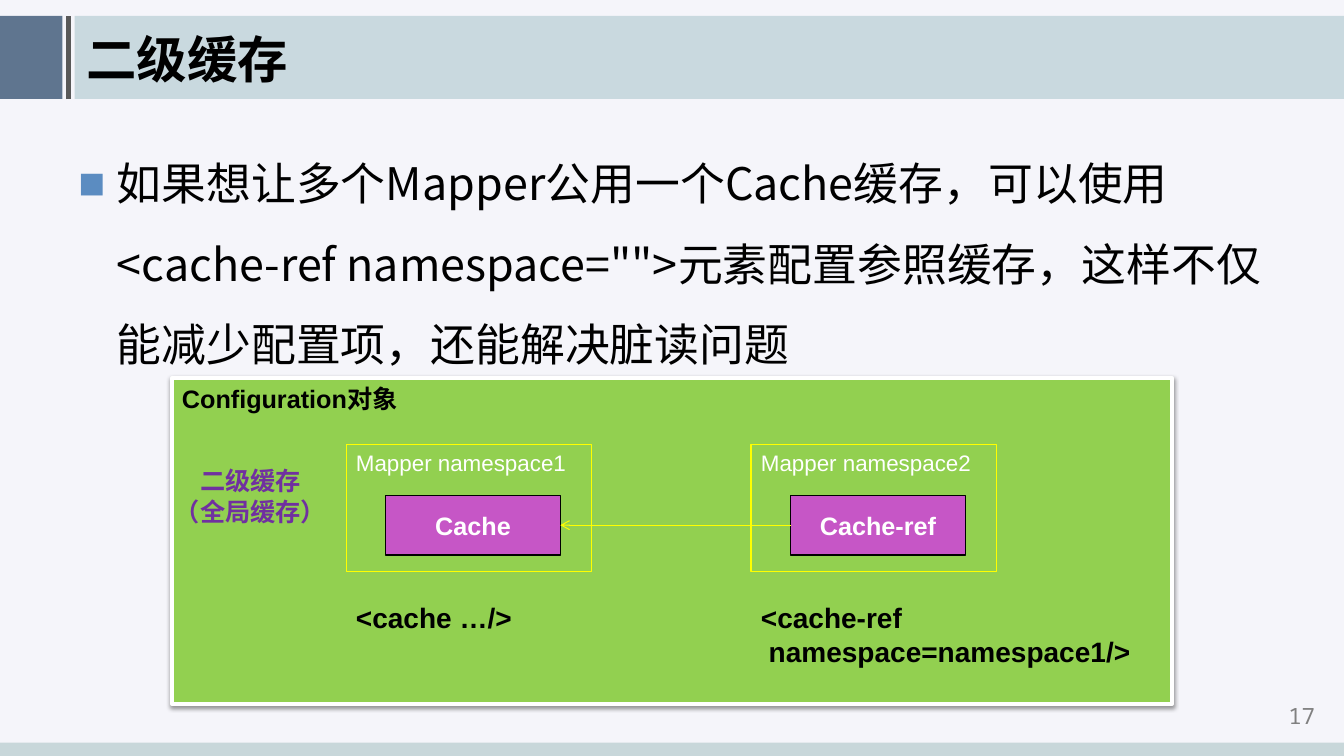
from lxml import etree
from pptx import Presentation
from pptx.dml.color import RGBColor
from pptx.enum.shapes import MSO_CONNECTOR, MSO_SHAPE
from pptx.enum.text import MSO_ANCHOR, PP_ALIGN
from pptx.oxml import parse_xml
from pptx.oxml.ns import nsdecls, qn
from pptx.util import Inches, Pt

RECT, STRAIGHT = MSO_SHAPE.RECTANGLE, MSO_CONNECTOR.STRAIGHT
LEFT, CENTER = PP_ALIGN.LEFT, PP_ALIGN.CENTER
TOP, MIDDLE = MSO_ANCHOR.TOP, MSO_ANCHOR.MIDDLE
LEFT_SITE, RIGHT_SITE = 1, 3
CJK, MONO, SANS = "Noto Sans CJK SC", "Noto Sans Mono", "Arial"
BLACK, WHITE, YELLOW = "000000", "FFFFFF", "FFFF00"


def rgb(value):
    """Turn a hex string into a colour."""
    return RGBColor.from_string(value)


def part(box, x, y, w, h):
    """Return the box at the given percentages of another box."""
    left, top, width, height = box
    return (int(left + width * x / 100), int(top + height * y / 100),
            int(width * w / 100), int(height * h / 100))


def write(sp, text, size, color, font=SANS, bold=False, align=LEFT,
          anchor=TOP, wrap=True):
    """Put text into a shape, one paragraph per line, and format it."""
    tf = sp.text_frame
    tf.text = text
    tf.word_wrap = wrap
    tf.vertical_anchor = anchor
    for p in tf.paragraphs:
        p.alignment = align
        for r in p.runs:
            r.font.size, r.font.bold, r.font.name = Pt(size), bold, font
            r.font.color.rgb = rgb(color)
            ea = etree.SubElement(r.font._element, qn("a:ea"))
            ea.set("typeface", CJK)
    return tf


def add_text(s, box, text, size, color, **style):
    """Add a text box."""
    return write(s.shapes.add_textbox(*box), text, size, color, **style)


def add_rect(s, box, fill=None, line=None, width=0.75, alpha=None):
    """Add a rectangle with optional fill, outline and opacity percent."""
    sp = s.shapes.add_shape(RECT, *box)
    sp.shadow.inherit = False
    if fill:
        sp.fill.solid()
        sp.fill.fore_color.rgb = rgb(fill)
    else:
        sp.fill.background()
    if alpha:
        clr = sp.fill._xPr.find(".//" + qn("a:srgbClr"))
        etree.SubElement(clr, qn("a:alpha")).set("val", str(alpha * 1000))
    if line:
        sp.line.color.rgb = rgb(line)
        sp.line.width = Pt(width)
    else:
        sp.line.fill.background()
    return sp


def add_line(s, start, end, color, width):
    """Add a straight connector without shadow."""
    c = s.shapes.add_connector(STRAIGHT, *start, *end)
    c.line.color.rgb = rgb(color)
    c.line.width = Pt(width)
    etree.SubElement(c._element.spPr, qn("a:effectLst"))
    return c


def add_header(s, box, title):
    """Draw the title band with its accent block and upright rule."""
    add_rect(s, part(box, 0, 0, 4.65, 100), "204062", alpha=70)
    x, y, _, h = part(box, 5.1, 0, 0, 100)
    add_line(s, (x, y + h), (x, y), "595959", 3)
    add_rect(s, part(box, 5.55, 0, 94.45, 100), "6699A1", alpha=30)
    add_text(s, part(box, 5.7, 6, 86.55, 89), title, 36, BLACK, font=CJK,
             bold=True, anchor=MIDDLE)


def add_footer(s, box, number):
    """Draw the bottom strip and the page number above it."""
    add_rect(s, part(box, 0, 76, 100, 24), "C8D7DA")
    add_text(s, part(box, 93.7, 0, 6.3, 57), number, 16, "808080", font=MONO,
             align=CENTER, anchor=MIDDLE)


def add_body(s, box, text):
    """Write the bulleted paragraph."""
    p = add_text(s, box, text, 32, BLACK, font=CJK).paragraphs[0]
    p.line_spacing = 1.5
    p.space_before = Pt(6.4)
    pPr = p._p.get_or_add_pPr()
    pPr.set("marL", str(Inches(0.38)))
    pPr.set("indent", str(-Inches(0.38)))
    clr = etree.SubElement(pPr, qn("a:buClr"))
    etree.SubElement(clr, qn("a:srgbClr")).set("val", "5B8CC1")
    etree.SubElement(pPr, qn("a:buFont")).set("typeface", SANS)
    etree.SubElement(pPr, qn("a:buChar")).set("char", "■")


def add_mapper(s, box, name, chip_text, tag):
    """Draw a mapper frame, its cache chip and the tag below; return the chip."""
    write(add_rect(s, box, line=YELLOW), name, 16, WHITE)
    chip = add_rect(s, part(box, 16.2, 40, 70.9, 47), "C656C6", BLACK)
    write(chip, chip_text, 18, WHITE, bold=True, align=CENTER, anchor=MIDDLE)
    add_text(s, part(box, 0, 119, 160, 61), tag, 20, BLACK, bold=True,
             wrap=False)
    return chip


def add_diagram(s, box):
    """Draw the configuration panel with two mappers sharing one cache."""
    panel = add_rect(s, box, "92D050", WHITE, 3)
    write(panel, "Configuration对象", 18, BLACK, bold=True)
    effects = panel._element.spPr.find(qn("a:effectLst"))
    effects.append(parse_xml(
        f'<a:outerShdw {nsdecls("a")} blurRad="{Pt(3.1)}" dist="{Pt(1.6)}" '
        'dir="5400000" rotWithShape="0"><a:srgbClr val="000000">'
        '<a:alpha val="38000"/></a:srgbClr></a:outerShdw>'))
    add_text(s, part(box, -0.8, 25.4, 17.3, 22), "二级缓存\n（全局缓存）", 18,
             "7030A0", bold=True, align=CENTER, wrap=False)
    mappers = [("Mapper namespace1", "Cache", "<cache …/>"),
               ("Mapper namespace2", "Cache-ref",
                "<cache-ref\n namespace=namespace1/>")]
    cache, ref = [add_mapper(s, part(box, 17.4 + 40.5 * i, 20.4, 24.6, 39),
                             *texts) for i, texts in enumerate(mappers)]
    arrow = add_line(s, (0, 0), (0, 0), YELLOW, 0.75)
    arrow.begin_connect(ref, LEFT_SITE)
    arrow.end_connect(cache, RIGHT_SITE)
    ln = arrow.line._get_or_add_ln()
    etree.SubElement(ln, qn("a:tailEnd")).set("type", "arrow")


def build_slide(prs):
    """Lay out the second-level cache slide."""
    s = prs.slides.add_slide(prs.slide_layouts[6])
    s.background.fill.solid()
    s.background.fill.fore_color.rgb = rgb("F5F5FA")
    page = (0, 0, prs.slide_width, prs.slide_height)
    add_header(s, part(page, 0, 2.1, 100, 11), "二级缓存")
    add_footer(s, part(page, 0, 92.6, 100, 7.4), "17")
    add_body(s, part(page, 5.1, 16.4, 91, 75.6),
             '如果想让多个Mapper公用一个Cache缓存，可以使用<cache-ref '
             'namespace="">元素配置参照缓存，这样不仅能减少配置项，'
             '还能解决脏读问题')
    add_diagram(s, part(page, 12.8, 50, 74.4, 43.1))


prs = Presentation()
prs.slide_width, prs.slide_height = Inches(13.33), Inches(7.5)
build_slide(prs)
prs.save("out.pptx")
